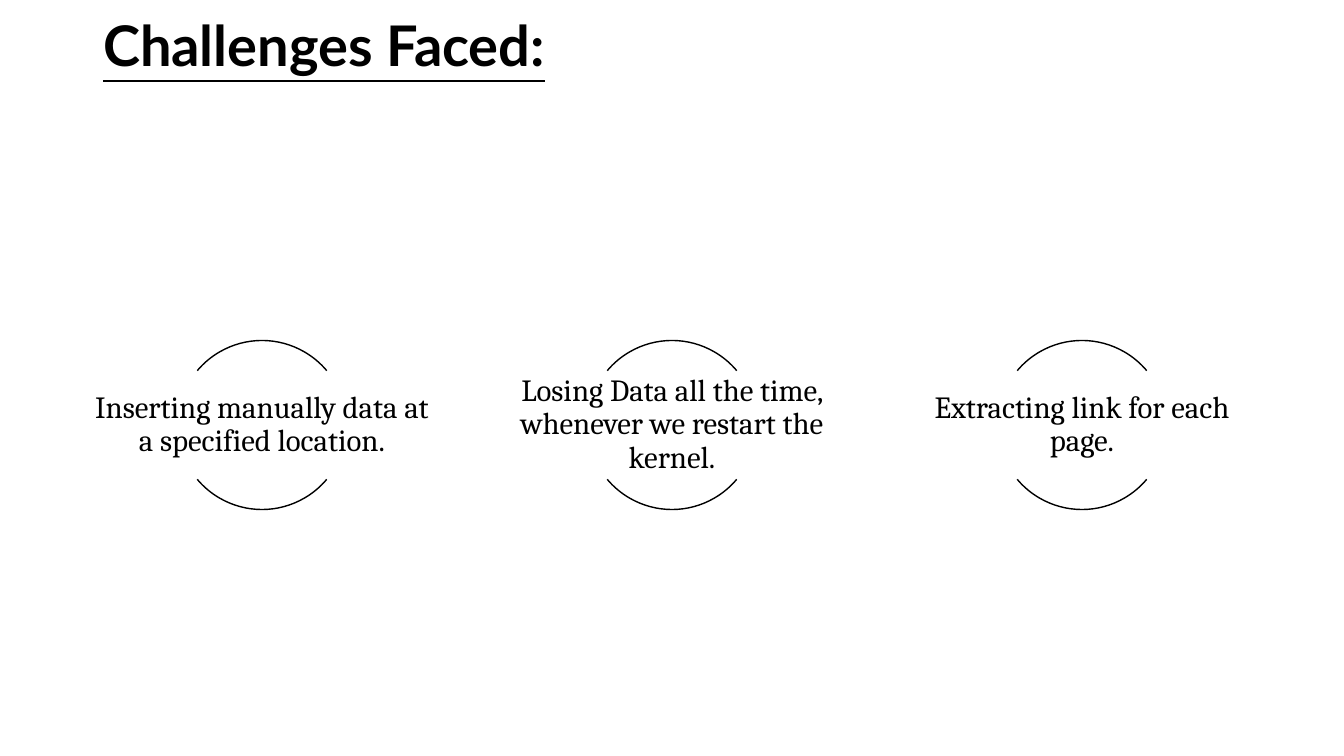
import pptx
import pptx.dml.color
import pptx.enum.shapes
import pptx.enum.text
import pptx.util
import lxml.etree

# Content
TITLE = "Challenges Faced:"
CHALLENGES = [
    "Inserting manually data at a specified location.",
    "Losing Data all the time, whenever we restart the kernel.",
    "Extracting link for each page.",
]

# Layout in px
SCALE = 914400 / 100.8
SLIDE_SIZE = (1344, 756)
TITLE_BOX = (93, 2, 1159, 93)
CENTER_Y = 425
COLUMN_STEP = 410
ARC_SIZE = 169
LABEL_WIDTH, LABEL_HEIGHT = 339, 109
LABEL_INSET = 2
ARC_ANGLES = [(220, 320), (40, 140)]  # degrees, upper and lower arc
BLACK = "000000"
WHITE = "FFFFFF"


def px(length):
    return pptx.util.Emu(round(length * SCALE))


def color(value):
    return pptx.dml.color.RGBColor.from_string(value)


def centered(center_x, width, height):
    return [px(n) for n in (center_x - width / 2, CENTER_Y - height / 2, width, height)]


def format_text(frame, font_name, size, alignment):
    frame.word_wrap = True
    frame.auto_size = pptx.enum.text.MSO_AUTO_SIZE.NONE
    frame.vertical_anchor = pptx.enum.text.MSO_ANCHOR.MIDDLE
    para = frame.paragraphs[0]
    para.alignment = alignment
    para.line_spacing = 0.9
    span = para.runs[0]
    span.font.name = font_name
    span.font.size = pptx.util.Pt(size)
    span.font.color.rgb = color(BLACK)
    return span


def add_arc(page, center_x, angles):
    arc = page.shapes.add_shape(
        pptx.enum.shapes.MSO_SHAPE.ARC, *centered(center_x, ARC_SIZE, ARC_SIZE))
    for index, degrees in enumerate(angles):
        arc.adjustments[index] = degrees * 0.6  # 60000ths of a degree, over 100000
    arc.shadow.inherit = False
    arc.fill.background()
    arc.line.color.rgb = color(BLACK)
    arc.line.width = pptx.util.Pt(1)


def add_label(page, center_x, text):
    box = page.shapes.add_textbox(*centered(center_x, LABEL_WIDTH, LABEL_HEIGHT))
    frame = box.text_frame
    frame.text = text
    frame.margin_left = frame.margin_right = px(LABEL_INSET)
    frame.margin_top = frame.margin_bottom = px(LABEL_INSET)
    format_text(frame, "Cambria", 22, pptx.enum.text.PP_ALIGN.CENTER)


def main():
    deck = pptx.Presentation()
    deck.slide_width, deck.slide_height = [px(n) for n in SLIDE_SIZE]
    page = deck.slides.add_slide(deck.slide_layouts[5])

    # Title
    title = page.shapes.title
    title.left, title.top, title.width, title.height = [px(n) for n in TITLE_BOX]
    title.text_frame.text = TITLE
    span = format_text(title.text_frame, "Lato", 40, pptx.enum.text.PP_ALIGN.LEFT)
    span.font.bold = True
    span.font.underline = True

    # Thin white outline around the title letters
    outline = pptx.oxml.parse_xml(
        '<a:ln xmlns:a="http://schemas.openxmlformats.org/drawingml/2006/main" w="9525">'
        f'<a:solidFill><a:srgbClr val="{WHITE}"/></a:solidFill></a:ln>')
    span.font._element.insert(0, outline) if hasattr(span.font, "_element") else \
        span._r.get_or_add_rPr().insert(0, outline)

    # Challenges, each between two arcs
    for column, text in enumerate(CHALLENGES):
        center_x = SLIDE_SIZE[0] / 2 + (column - 1) * COLUMN_STEP
        for angles in ARC_ANGLES:
            add_arc(page, center_x, angles)
        add_label(page, center_x, text)

    deck.save("out.pptx")


if __name__ == "__main__":
    main()
